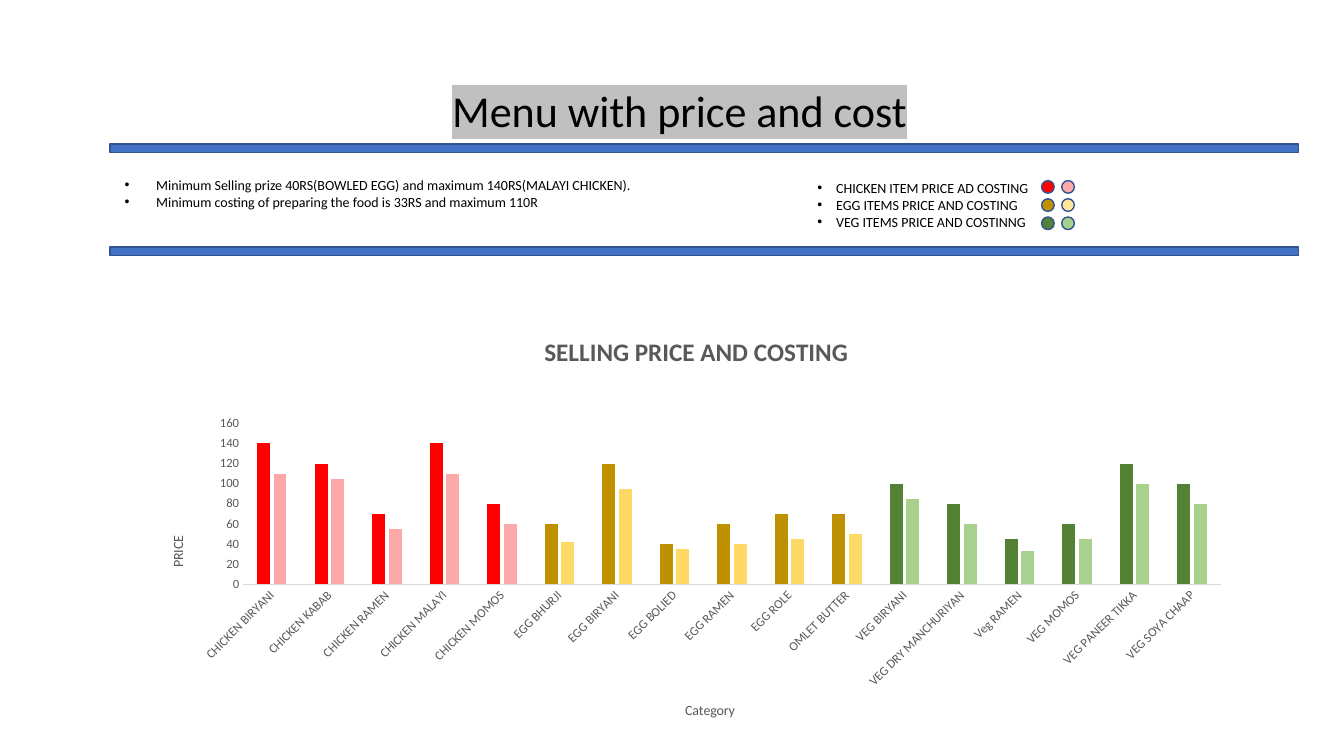
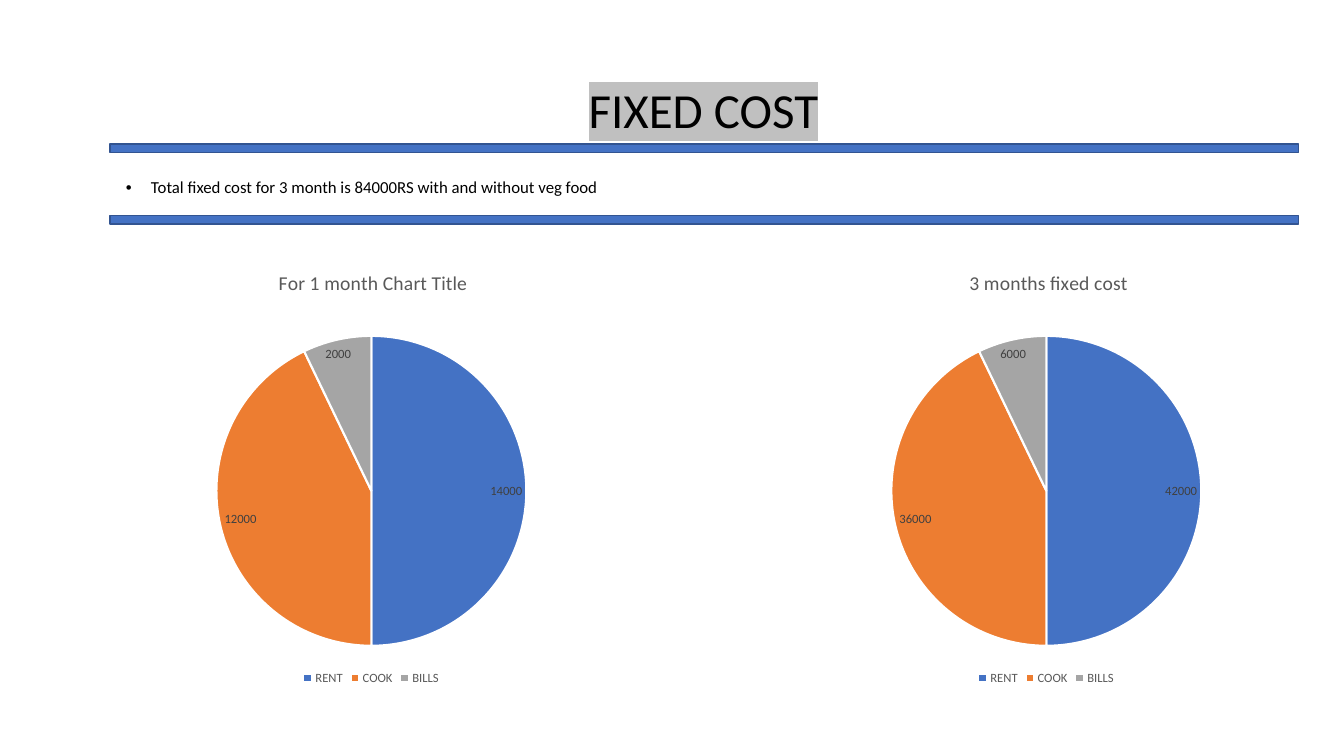
from lxml import etree
from pptx import Presentation
from pptx.chart.data import CategoryChartData
from pptx.dml.color import RGBColor
from pptx.enum.chart import XL_CHART_TYPE as CHART, XL_LABEL_POSITION as LABEL
from pptx.enum.chart import XL_LEGEND_POSITION as LEGEND, XL_TICK_MARK as TICK
from pptx.enum.shapes import MSO_SHAPE as SHAPE
from pptx.enum.text import MSO_ANCHOR as ANCHOR, PP_ALIGN as ALIGN
from pptx.oxml.ns import qn
from pptx.util import Pt

BLACK = RGBColor(0x00, 0x00, 0x00)
WHITE = RGBColor(0xFF, 0xFF, 0xFF)
GREY = RGBColor(0x59, 0x59, 0x59)
DARK_GREY = RGBColor(0x40, 0x40, 0x40)
AXIS_GREY = RGBColor(0xD9, 0xD9, 0xD9)
HIGHLIGHT = RGBColor(0xC0, 0xC0, 0xC0)
BLUE = RGBColor(0x44, 0x72, 0xC4)
OUTLINE = RGBColor(0x32, 0x54, 0x91)
ORANGE = RGBColor(0xED, 0x7D, 0x31)
SILVER = RGBColor(0xA5, 0xA5, 0xA5)
RED = RGBColor(0xFF, 0x00, 0x00)
PINK = RGBColor(0xFD, 0xA9, 0xA9)
GOLD = RGBColor(0xBF, 0x90, 0x00)
YELLOW = RGBColor(0xFF, 0xD9, 0x66)
PALE_YELLOW = RGBColor(0xFF, 0xE6, 0x99)
GREEN = RGBColor(0x54, 0x82, 0x35)
LIGHT_GREEN = RGBColor(0xA9, 0xD1, 0x8E)

FONT = "Calibri"
BAND_LEFT, BAND_WIDTH, BAND_HEIGHT, TOP_BAND = 78.5, 849, 6, 103
PIE_SIDE = 222

MENU = [
    ("CHICKEN BIRYANI", 140, 110), ("CHICKEN KABAB", 120, 105),
    ("CHICKEN RAMEN", 70, 55), ("CHICKEN MALAYI", 140, 110),
    ("CHICKEN MOMOS", 80, 60), ("EGG BHURJI", 60, 42),
    ("EGG BIRYANI", 120, 95), ("EGG BOLIED", 40, 35),
    ("EGG RAMEN", 60, 40), ("EGG ROLE", 70, 45),
    ("OMLET BUTTER", 70, 50), ("VEG BIRYANI", 100, 85),
    ("VEG DRY MANCHURIYAN", 80, 60), ("Veg RAMEN", 45, 33),
    ("VEG MOMOS", 60, 45), ("VEG PANEER TIKKA", 120, 100),
    ("VEG SOYA CHAAP", 100, 80),
]
PRICE_COLORS = [RED] * 5 + [GOLD] * 6 + [GREEN] * 6
COST_COLORS = [PINK] * 5 + [YELLOW] * 6 + [LIGHT_GREEN] * 6
KEY_COLORS = [(RED, PINK), (GOLD, PALE_YELLOW), (GREEN, LIGHT_GREEN)]
FIXED_NAMES = ["RENT", "COOK", "BILLS"]
FIXED_COLORS = [BLUE, ORANGE, SILVER]


def set_font(font, size, color, bold=False):
    fmt = {"name": FONT, "size": Pt(size), "bold": bold}
    for name, value in fmt.items():
        setattr(font, name, value)
    font.color.rgb = color


def add_text(slide, box, lines, size):
    s = slide.shapes.add_textbox(*map(Pt, box))
    tf = s.text_frame
    tf.word_wrap = True
    for i, line in enumerate(lines):
        p = tf.paragraphs[0] if i == 0 else tf.add_paragraph()
        r = p.add_run()
        r.text = line
        set_font(r.font, size, BLACK)
    return tf


def add_title(slide, box, text, size):
    tf = add_text(slide, box, [text], size)
    tf.vertical_anchor = ANCHOR.MIDDLE
    p = tf.paragraphs[0]
    p.alignment = ALIGN.CENTER
    p.line_spacing = 0.9
    fill = p.runs[0]._r.rPr.find(qn("a:solidFill"))
    mark = etree.Element(qn("a:highlight"))
    etree.SubElement(mark, qn("a:srgbClr"), val=str(HIGHLIGHT))
    fill.addnext(mark)


def add_bullets(slide, box, lines, size, indent, spacing=1.0):
    tf = add_text(slide, box, lines, size)
    for p in tf.paragraphs:
        p.line_spacing = spacing
        pPr = p._p.get_or_add_pPr()
        pPr.set("marL", str(Pt(indent)))
        pPr.set("indent", str(-Pt(indent)))
        etree.SubElement(pPr, qn("a:buFont"), typeface="Arial")
        etree.SubElement(pPr, qn("a:buChar"), char="•")


def add_block(slide, kind, box, color):
    s = slide.shapes.add_shape(kind, *map(Pt, box))
    s.shadow.inherit = False
    s.fill.solid()
    s.fill.fore_color.rgb = color
    s.line.color.rgb = OUTLINE
    s.line.width = Pt(1)


def add_bands(slide, lower_top):
    for top in (TOP_BAND, lower_top):
        add_block(slide, SHAPE.RECTANGLE, (BAND_LEFT, top, BAND_WIDTH, BAND_HEIGHT), BLUE)


def add_color_key(slide, left, top, size, step_x, step_y):
    for row, colors in enumerate(KEY_COLORS):
        for col, color in enumerate(colors):
            box = (left + col * step_x, top + row * step_y, size, size)
            add_block(slide, SHAPE.OVAL, box, color)


def set_layout(parent, **fractions):
    layout = parent.find(qn("c:layout"))
    if layout is None:
        layout = etree.Element(qn("c:layout"))
        parent.insert(0, layout)
    manual = etree.SubElement(layout, qn("c:manualLayout"))
    if "w" in fractions:
        etree.SubElement(manual, qn("c:layoutTarget"), val="inner")
    for side in ("xMode", "yMode"):
        etree.SubElement(manual, qn("c:" + side), val="edge")
    for name, value in fractions.items():
        etree.SubElement(manual, qn("c:" + name), val=str(round(value, 2)))


def set_rotation(body, degrees):
    bodyPr = body.find(qn("a:bodyPr"))
    bodyPr.set("rot", str(degrees * 60000))
    bodyPr.set("vert", "horz")


def set_chart_title(title, text, size, x, y, bold=False):
    tf = title.text_frame
    tf.text = text
    set_font(tf.paragraphs[0].runs[0].font, size, GREY, bold)
    set_layout(title._element, x=x, y=y)
    return tf


def add_chart(slide, kind, box, names, columns):
    data = CategoryChartData()
    data.categories = names
    for i, values in enumerate(columns, 1):
        data.add_series(f"Series {i}", values)
    chart = slide.shapes.add_chart(kind, *map(Pt, box), data).chart
    set_font(chart.font, 10, BLACK)
    chart.has_title = True
    chart.has_legend = False
    return chart


def fill_points(series, colors):
    for i, color in enumerate(colors):
        fill = series.points[i].format.fill
        fill.solid()
        fill.fore_color.rgb = color


def add_price_chart(slide):
    names, prices, costs = zip(*MENU)
    chart = add_chart(slide, CHART.COLUMN_CLUSTERED, (103, 226.8, 784.8, 302.4),
                      names, (prices, costs))
    set_chart_title(chart.chart_title, "SELLING PRICE AND COSTING", 18, 0.36, 0.03, True)
    set_layout(chart._chartSpace.chart.plotArea, x=0.09, y=0.25, w=0.89, h=0.38)

    plot = chart.plots[0]
    for name, value in {"gap_width": 219, "overlap": -27, "vary_by_categories": False}.items():
        setattr(plot, name, value)
    for series, colors in zip(plot.series, (PRICE_COLORS, COST_COLORS)):
        series.format.fill.solid()
        series.format.fill.fore_color.rgb = colors[0]
        series.invert_if_negative = False
        fill_points(series, colors)

    cat, val = chart.category_axis, chart.value_axis
    for axis in (cat, val):
        axis.has_major_gridlines = False
        axis.major_tick_mark = axis.minor_tick_mark = TICK.NONE
        set_font(axis.tick_labels.font, 9, GREY)
    for name, value in {"minimum_scale": 0, "maximum_scale": 160, "major_unit": 20}.items():
        setattr(val, name, value)
    val.format.line.fill.background()
    cat.format.line.color.rgb = AXIS_GREY
    cat.format.line.width = Pt(0.75)
    set_rotation(cat._element.find(qn("c:txPr")), -45)
    set_chart_title(cat.axis_title, "Category", 10, 0.49, 0.9)
    tf = set_chart_title(val.axis_title, "PRICE", 10, 0.02, 0.51)
    set_rotation(tf._txBody, -90)


def add_cost_pie(slide, box, title, values):
    chart = add_chart(slide, CHART.PIE, box, FIXED_NAMES, [values])
    set_chart_title(chart.chart_title, title, 14, 0.34, 0.03)
    w, h = (PIE_SIDE / length for length in box[2:])
    set_layout(chart._chartSpace.chart.plotArea, x=(1 - w) / 2, y=0.19, w=w, h=h)

    chart.has_legend = True
    chart.legend.position = LEGEND.BOTTOM
    chart.legend.include_in_layout = False
    set_font(chart.legend.font, 9, GREY)

    plot = chart.plots[0]
    plot.vary_by_categories = True
    series = plot.series[0]
    fill_points(series, FIXED_COLORS)
    for i in range(len(values)):
        line = series.points[i].format.line
        line.color.rgb = WHITE
        line.width = Pt(1.5)
    labels = series.data_labels
    labels.show_value = True
    labels.position = LABEL.BEST_FIT
    set_font(labels.font, 9, DARK_GREY)


def build_menu(slide):
    add_title(slide, (78.5, 58.3, 849, 44.6), "Menu with price and cost\t", 31.5)
    add_bullets(slide, (82, 122.4, 480, 31.7), [
        "Minimum Selling prize 40RS(BOWLED EGG) and maximum 140RS(MALAYI CHICKEN).",
        "Minimum costing of preparing the food is 33RS and maximum 110R",
    ], 10, 22.5)
    add_bands(slide, 176.4)
    add_price_chart(slide)
    add_bullets(slide, (576.7, 124.6, 207.4, 44), [
        "CHICKEN ITEM PRICE AD COSTING",
        "EGG ITEMS PRICE AND COSTING",
        "VEG ITEMS PRICE AND COSTINNG",
    ], 10, 13.5)
    add_color_key(slide, 744, 129, 9, 14.4, 13)


def build_fixed_cost(slide):
    add_title(slide, (88.5, 55.4, 828, 49.7), "FIXED COST", 35)
    add_bands(slide, 154)
    add_cost_pie(slide, (50.4, 180.7, 429.8, 311.8), "For 1 month Chart Title",
                 (14000, 12000, 2000))
    add_cost_pie(slide, (567.4, 180.7, 360, 311.8), "3 months fixed cost",
                 (42000, 36000, 6000))
    add_bullets(slide, (82.8, 124.6, 828, 23),
                ["Total fixed cost for 3 month is 84000RS with and without veg food"],
                12, 18, 0.9)


def main():
    prs = Presentation()
    prs.slide_width, prs.slide_height = Pt(960), Pt(540)
    for build in (build_menu, build_fixed_cost):
        build(prs.slides.add_slide(prs.slide_layouts[6]))
    prs.save("out.pptx")


main()
